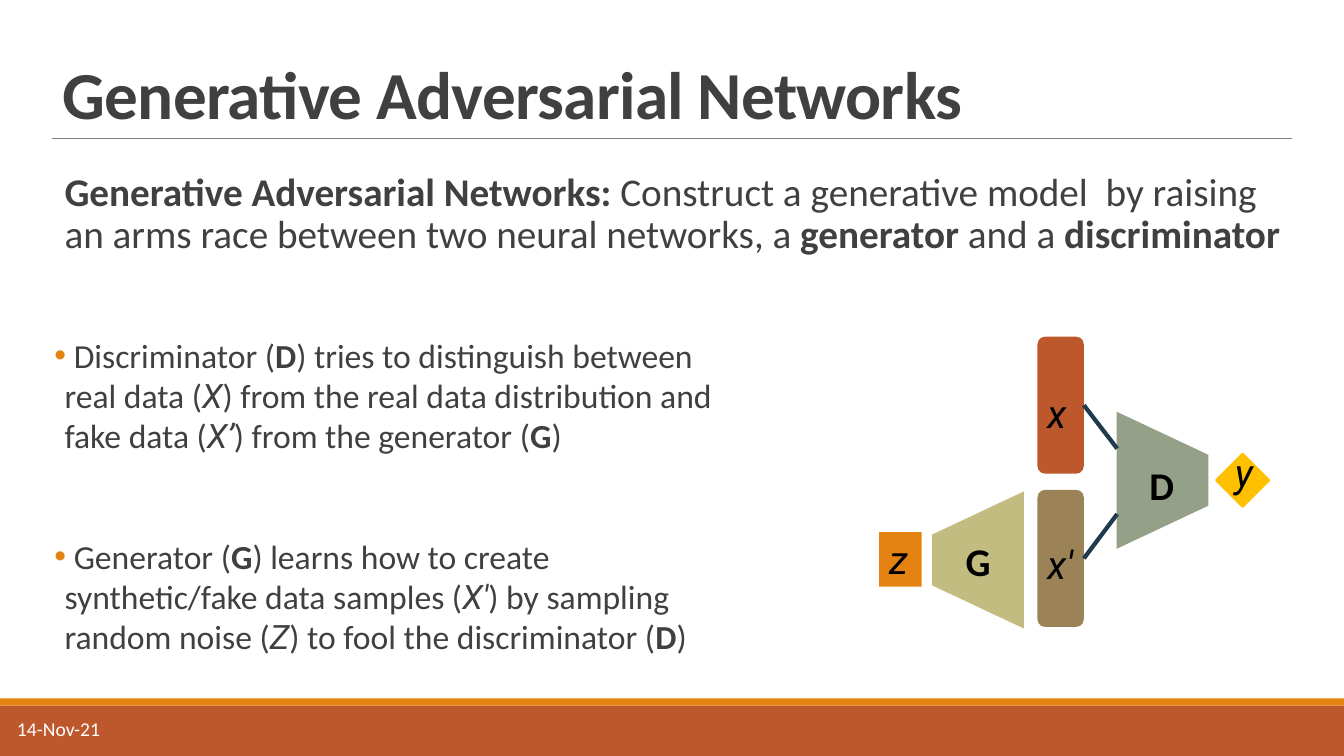
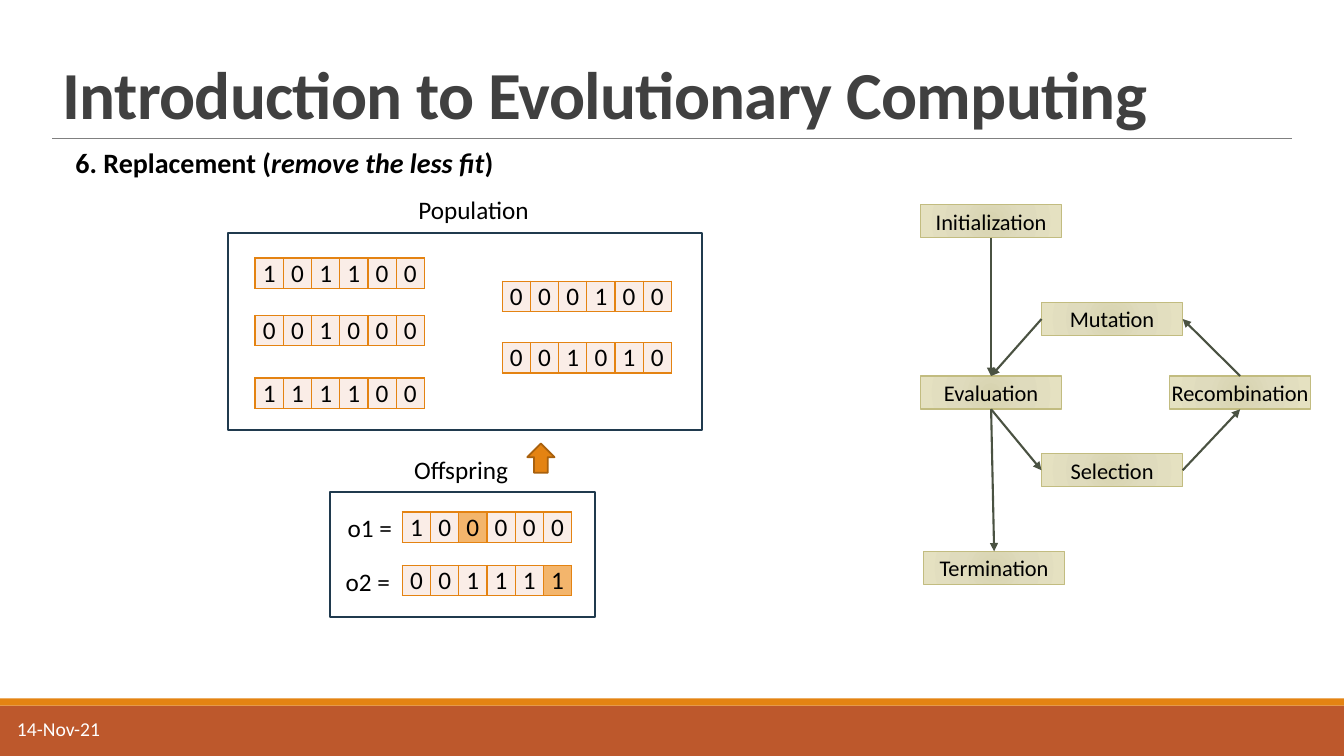
from dataclasses import dataclass
from typing import NamedTuple

import pptx
import pptx.dml.color
import pptx.enum.shapes
import pptx.enum.text
import pptx.oxml
import pptx.oxml.ns
import pptx.util

Inches = pptx.util.Inches
Pt = pptx.util.Pt
SHAPE = pptx.enum.shapes.MSO_SHAPE
ALIGN = pptx.enum.text.PP_ALIGN
ANCHOR = pptx.enum.text.MSO_ANCHOR
FIT = pptx.enum.text.MSO_AUTO_SIZE

HUES = {
    "orange": "E48312", "rust": "BD582C", "brown": "9B8357", "khaki": "C2BC80",
    "sage": "94A088", "gold": "FFC000", "navy": "203A4E", "moss": "4A5242",
    "amber": "A9610D", "pale": "FAEDE7", "peach": "F3B56C",
    "gray": "808080", "ink": "404040", "black": "000000", "white": "FFFFFF",
}
XMLNS = pptx.oxml.ns.nsdecls("a")
GLOW = f"""<a:gradFill {XMLNS} rotWithShape="1"><a:gsLst>
<a:gs pos="0"><a:srgbClr val="D7D3AF"/></a:gs>
<a:gs pos="45000"><a:srgbClr val="DFDBBD"/></a:gs>
<a:gs pos="100000"><a:srgbClr val="E5E1C1"/></a:gs></a:gsLst>
<a:path path="circle"><a:fillToRect l="100000" t="100000" r="100000" b="100000"/></a:path>
</a:gradFill>"""
TOP, LEFT, BOTTOM, RIGHT = range(4)
CELL = 0.28
CELL_H = 0.3


class Box(NamedTuple):
    left: float
    top: float
    width: float
    height: float

    def place(self) -> list:
        return [Inches(side) for side in self]


class Bit(NamedTuple):
    """A run of text; look holds b for bold, i for italic, m for math."""
    text: str
    look: str = ""


@dataclass
class Part:
    kind: object
    box: Box
    fill: str | None = None
    edge: str | None = None
    width: float = 1.25
    turn: float = 0
    bend: float | None = None


@dataclass
class Label:
    bits: list
    box: Box
    size: float = 18
    hue: str = "black"


@dataclass
class Gene:
    left: float
    top: float
    code: str
    marked: int = -1


class Arrow(NamedTuple):
    start: str
    leave: int
    end: str
    enter: int


def rgb(hue: str):
    return pptx.dml.color.RGBColor.from_string(HUES[hue])


def dress(font, size: float, hue: str, look: str = "") -> None:
    font.name = "Roboto" if "m" in look else "Calibri"
    font.size = Pt(size)
    font.color.rgb = rgb(hue)
    font.bold = "b" in look
    font.italic = "i" in look or "m" in look


def write(para, bits: list, size: float, hue: str) -> None:
    for bit in bits:
        run = para.add_run()
        run.text = bit.text
        dress(run.font, size, hue, bit.look)


def draw(slide, part: Part):
    shape = slide.shapes.add_shape(part.kind, *part.box.place())
    shape.shadow.inherit = False
    shape.rotation = part.turn
    if part.bend is not None:
        shape.adjustments[0] = part.bend
    if part.fill:
        shape.fill.solid()
        shape.fill.fore_color.rgb = rgb(part.fill)
    else:
        shape.fill.background()
    if part.edge:
        shape.line.color.rgb = rgb(part.edge)
        shape.line.width = Pt(part.width)
    else:
        shape.line.fill.background()
    return shape


def link(slide, start: tuple, end: tuple, hue: str, width: float, head: bool = False):
    ends = [Inches(side) for side in start + end]
    line = slide.shapes.add_connector(pptx.enum.shapes.MSO_CONNECTOR.STRAIGHT, *ends)
    line.line.color.rgb = rgb(hue)
    line.line.width = Pt(width)
    props = line.element.spPr
    props.append(pptx.oxml.parse_xml(f"<a:effectLst {XMLNS}/>"))
    if head:
        tip = pptx.oxml.parse_xml(f'<a:tailEnd {XMLNS} type="triangle"/>')
        props.find(pptx.oxml.ns.qn("a:ln")).append(tip)
    return line


def note(slide, label: Label) -> None:
    frame = slide.shapes.add_textbox(*label.box.place()).text_frame
    frame.word_wrap = False
    frame.auto_size = FIT.SHAPE_TO_FIT_TEXT
    write(frame.paragraphs[0], label.bits, label.size, label.hue)


def brand(deck, slide) -> None:
    """Draw the bands and title rule, then move them to the master."""
    items = [
        draw(slide, Part(SHAPE.RECTANGLE, Box(0, 7, 13.33, 0.5), "rust")),
        draw(slide, Part(SHAPE.RECTANGLE, Box(0, 6.93, 13.33, 0.07), "orange")),
        link(slide, (0.52, 1.37), (12.81, 1.37), "gray", 0.5),
    ]
    tree = deck.slide_master.shapes.element
    for spot, item in enumerate(items):
        item.element.xpath(".//p:cNvPr")[0].set("id", str(100 + spot))
        tree.insert(2 + spot, item.element)


def begin(deck, layout: int, text: str):
    """Add a slide with its title and date."""
    slide = deck.slides.add_slide(deck.slide_layouts[layout])
    title = slide.shapes.title
    title.left, title.top, title.width, title.height = Box(0.52, 0.31, 12.29, 1.06).place()
    frame = title.text_frame
    frame.text = text
    frame.auto_size = FIT.NONE
    frame.vertical_anchor = ANCHOR.BOTTOM
    para = frame.paragraphs[0]
    para.alignment = ALIGN.LEFT
    para.line_spacing = 0.85
    for run in para.runs:
        dress(run.font, 48, "ink", "b")
        run.font.element.set("spc", "-50") if hasattr(run.font, "element") else \
            run._r.get_or_add_rPr().set("spc", "-50")
    note(slide, Label([Bit("14-Nov-21")], Box(0.07, 7.06, 2.7, 0.4), 14, "white"))
    return slide


def fill_body(shape, box: Box, paras: list, size: float, lead: float,
              gap: float = 0, dots: bool = False) -> None:
    shape.left, shape.top, shape.width, shape.height = box.place()
    frame = shape.text_frame
    frame.auto_size = FIT.NONE
    frame.word_wrap = True
    frame.vertical_anchor = ANCHOR.TOP
    frame.margin_left = frame.margin_right = 0
    for spot, bits in enumerate(paras):
        para = frame.add_paragraph() if spot else frame.paragraphs[0]
        props = para._p.get_or_add_pPr()
        props.set("marL", str(Inches(0.1)))
        props.set("indent", str(Inches(-0.1 if dots else 0)))
        marks = [f'<a:buClr {XMLNS}><a:srgbClr val="{HUES["orange"]}"/></a:buClr>',
                 f'<a:buChar {XMLNS} char="•"/>'] if dots else [f"<a:buNone {XMLNS}/>"]
        for mark in marks:
            props.append(pptx.oxml.parse_xml(mark))
        para.line_spacing = lead
        para.space_before = Pt(gap if spot else 0)
        para.space_after = Pt(2)
        write(para, bits, size, "ink")


def draw_gene(slide, gene: Gene) -> None:
    count = len(gene.code)
    box = Box(gene.left, gene.top, CELL * count, CELL_H)
    table = slide.shapes.add_table(1, count, *box.place()).table
    table.first_row = table.horz_banding = False
    table.rows[0].height = Inches(CELL_H)
    for spot, digit in enumerate(gene.code):
        table.columns[spot].width = Inches(CELL)
        cell = table.cell(0, spot)
        cell.margin_left = cell.margin_right = cell.margin_top = cell.margin_bottom = 0
        for side in "LRTB":
            cell._tc.get_or_add_tcPr().append(pptx.oxml.parse_xml(
                f'<a:ln{side} {XMLNS} w="{Pt(1)}"><a:solidFill>'
                f'<a:srgbClr val="{HUES["orange"]}"/></a:solidFill></a:ln{side}>'))
        cell.fill.solid()
        cell.fill.fore_color.rgb = rgb("peach" if spot == gene.marked else "pale")
        cell.text_frame.text = digit
        para = cell.text_frame.paragraphs[0]
        para.alignment = ALIGN.CENTER
        dress(para.runs[0].font, 18, "black")


def draw_step(slide, name: str, left: float, top: float):
    step = draw(slide, Part(SHAPE.RECTANGLE, Box(left, top, 1.4, 0.33), None, "khaki", 1))
    props = step.element.spPr
    blank = props.find(pptx.oxml.ns.qn("a:noFill"))
    props.replace(blank, pptx.oxml.parse_xml(GLOW))
    frame = step.text_frame
    frame.margin_left = frame.margin_right = frame.margin_top = frame.margin_bottom = 0
    frame.vertical_anchor = ANCHOR.MIDDLE
    frame.text = name
    para = frame.paragraphs[0]
    para.alignment = ALIGN.CENTER
    dress(para.runs[0].font, 16, "black")
    return step


def add_gan(deck) -> None:
    slide = begin(deck, 3, "Generative Adversarial Networks")
    brand(deck, slide)
    intro = [Bit("Generative Adversarial Networks: ", "b"),
             Bit("Construct a generative model  by raising an arms race between "
                 "two neural networks, a "),
             Bit("generator", "b"), Bit(" and a "), Bit("discriminator", "b")]
    roles = [
        [Bit(" Discriminator ("), Bit("D", "b"),
         Bit(") tries to distinguish between real data ("), Bit("X", "m"),
         Bit(") from the real data distribution and fake data ("), Bit("X’", "m"),
         Bit(") from the generator ("), Bit("G", "b"), Bit(")")],
        [Bit(" Generator ("), Bit("G", "b"),
         Bit(") learns how to create synthetic/fake data samples ("), Bit("X'", "m"),
         Bit(") by sampling random noise ("), Bit("Z", "m"),
         Bit(") to fool the discriminator ("), Bit("D", "b"), Bit(")")],
    ]
    fill_body(slide.placeholders[1], Box(0.54, 1.66, 12.29, 1.39), [intro], 28, 0.9)
    fill_body(slide.placeholders[2], Box(0.54, 3.27, 6.65, 3.5), roles, 24, 1, 55, True)
    for part in (
        Part(SHAPE.ROUNDED_RECTANGLE, Box(10.29, 3.34, 0.46, 1.36), "rust"),
        Part(SHAPE.TRAPEZOID, Box(10.85, 4.31, 1.36, 0.91), "sage", turn=90, bend=0.47),
        Part(SHAPE.TRAPEZOID, Box(9.02, 5.1, 1.36, 0.91), "khaki", turn=270, bend=0.47),
        Part(SHAPE.ROUNDED_RECTANGLE, Box(10.29, 4.86, 0.46, 1.36), "brown"),
        Part(SHAPE.RECTANGLE, Box(8.72, 5.28, 0.42, 0.54), "orange"),
        Part(SHAPE.DIAMOND, Box(12.06, 4.5, 0.53, 0.53), "gold", "gold"),
    ):
        draw(slide, part)
    link(slide, (10.75, 4.02), (11.08, 4.45), "navy", 3)
    link(slide, (10.75, 5.54), (11.08, 5.1), "navy", 3)
    for text, look, left, top, width in (
        ("G", "b", 9.48, 5.28, 0.45), ("D", "b", 11.3, 4.53, 0.45),
        ("z", "m", 8.72, 5.26, 0.39), ("x", "m", 10.29, 3.81, 0.39),
        ("x'", "m", 10.29, 5.31, 0.48), ("y", "m", 12.15, 4.4, 0.35),
    ):
        note(slide, Label([Bit(text, look)], Box(left, top, width, 0.57), 28))


def add_evo(deck) -> None:
    slide = begin(deck, 5, "Introduction to Evolutionary Computing")
    for part in (
        Part(SHAPE.RECTANGLE, Box(2.26, 2.31, 4.7, 1.96), edge="navy"),
        Part(SHAPE.RECTANGLE, Box(3.27, 4.88, 2.63, 1.24), edge="navy"),
        Part(SHAPE.RIGHT_ARROW, Box(5.22, 4.41, 0.29, 0.27), "orange", "amber", turn=270),
    ):
        draw(slide, part)
    for gene in (
        Gene(2.53, 2.56, "101100"), Gene(2.53, 3.13, "001000"), Gene(2.53, 3.75, "111100"),
        Gene(4.98, 2.79, "000100"), Gene(4.98, 3.4, "001010"),
        Gene(3.99, 5.08, "100000", 2), Gene(3.99, 5.61, "001111", 5),
    ):
        draw_gene(slide, gene)
    steps = {name: draw_step(slide, name, left, top) for name, left, top in (
        ("Initialization", 9.13, 2.03), ("Evaluation", 9.13, 3.73),
        ("Selection", 10.33, 4.5), ("Recombination", 11.6, 3.73),
        ("Termination", 9.16, 5.47), ("Mutation", 10.33, 3),
    )}
    for arrow in (
        Arrow("Initialization", BOTTOM, "Evaluation", TOP),
        Arrow("Evaluation", BOTTOM, "Termination", TOP),
        Arrow("Mutation", LEFT, "Evaluation", TOP),
        Arrow("Recombination", TOP, "Mutation", RIGHT),
        Arrow("Evaluation", BOTTOM, "Selection", LEFT),
        Arrow("Selection", RIGHT, "Recombination", BOTTOM),
    ):
        line = link(slide, (0, 0), (1, 1), "moss", 1.5, True)
        line.begin_connect(steps[arrow.start], arrow.leave)
        line.end_connect(steps[arrow.end], arrow.enter)
    for label in (
        Label([Bit("6. Replacement (", "b"), Bit("remove the less fit", "bi"), Bit(")", "b")],
              Box(0.65, 1.39, 4.4, 0.44), 20),
        Label([Bit("Population")], Box(4.05, 1.88, 1.31, 0.4)),
        Label([Bit("Offspring")], Box(4.01, 4.46, 1.15, 0.4)),
        Label([Bit("o1 =")], Box(3.35, 5.03, 0.65, 0.4)),
        Label([Bit("o2 =")], Box(3.33, 5.57, 0.65, 0.4)),
    ):
        note(slide, label)


def main() -> None:
    deck = pptx.Presentation()
    deck.slide_width, deck.slide_height = Inches(13.33), Inches(7.5)
    add_gan(deck)
    add_evo(deck)
    deck.save("out.pptx")


if __name__ == "__main__":
    main()
